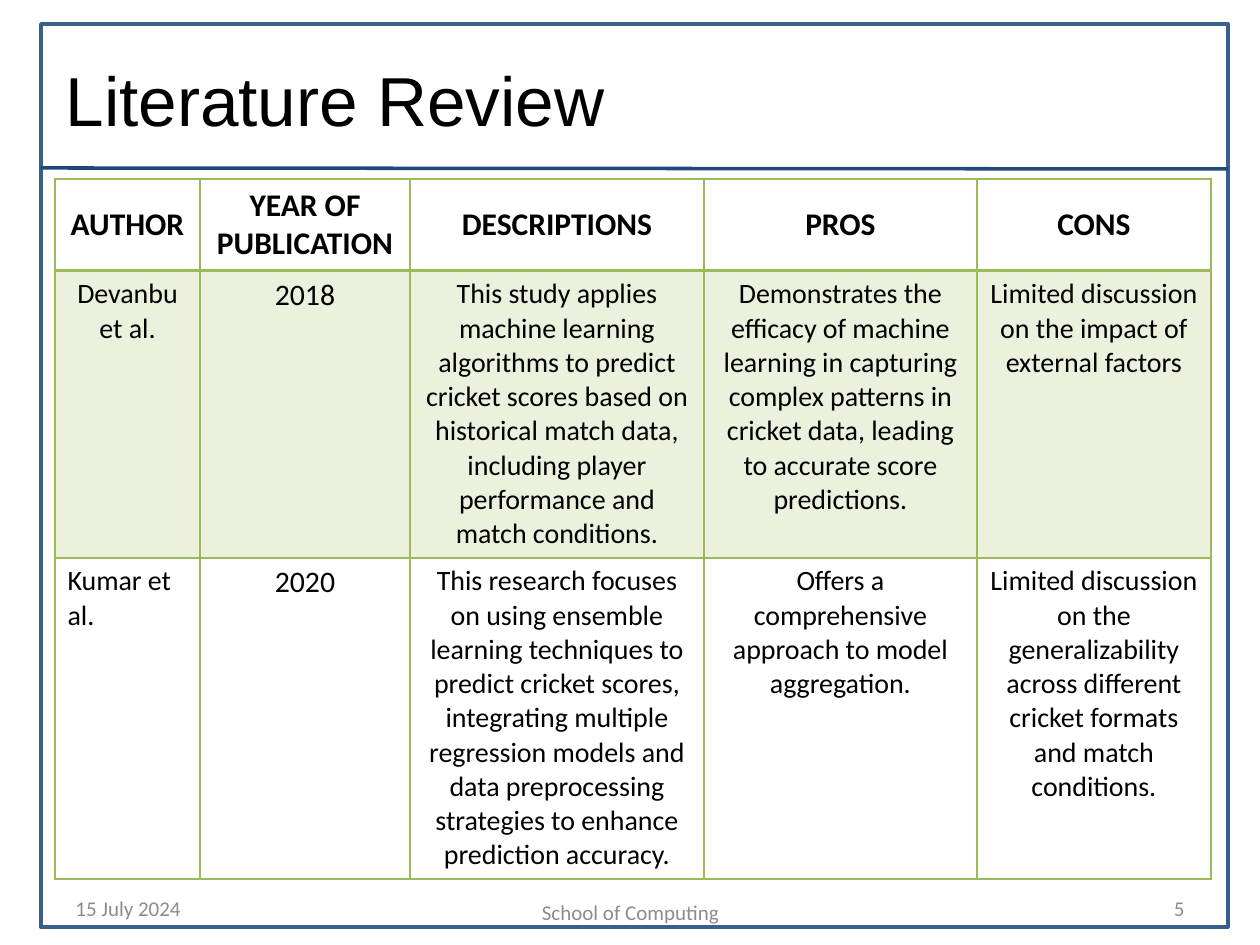
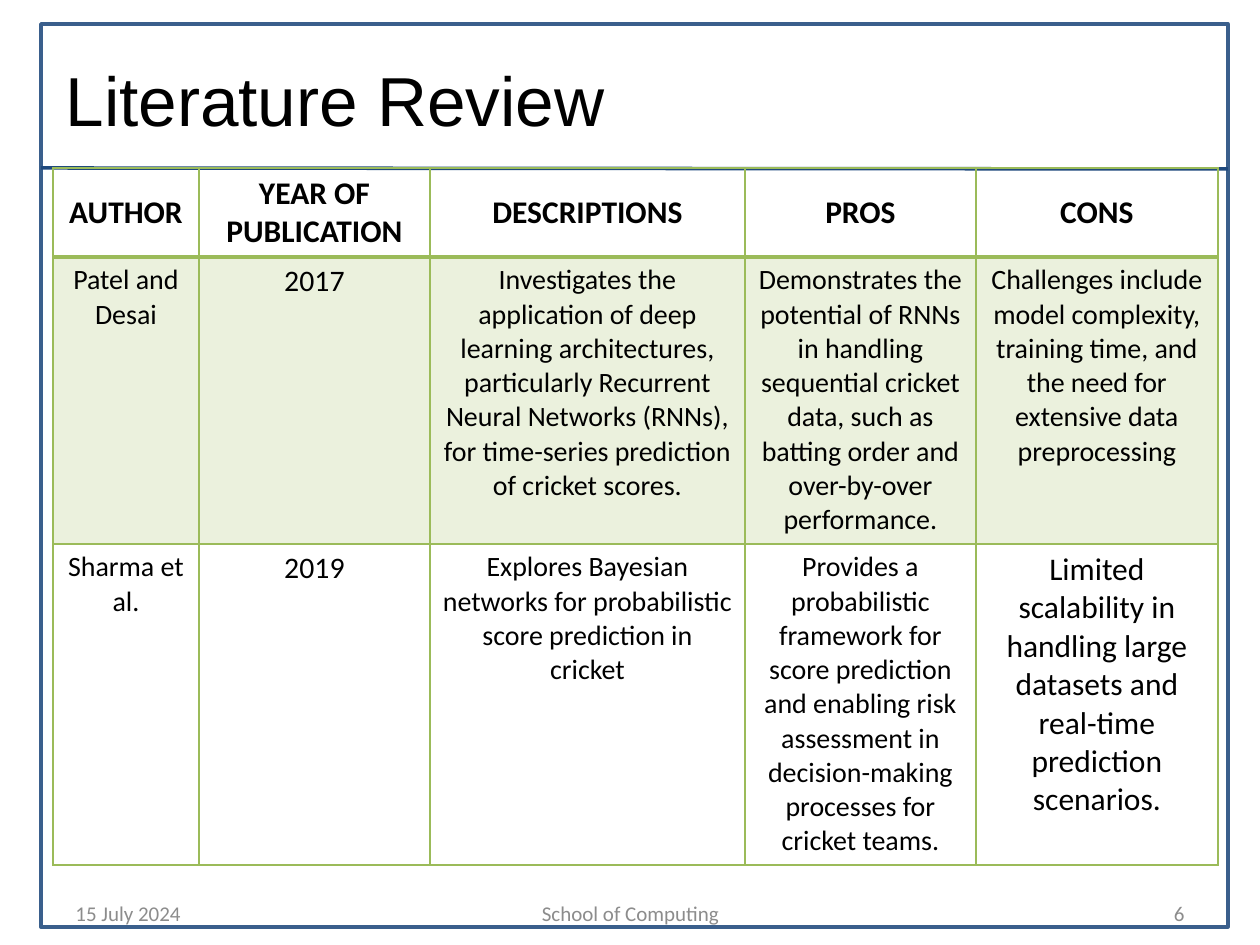
from dataclasses import dataclass

from lxml import etree
from pptx import Presentation, util as u
from pptx.dml.color import RGBColor
from pptx.enum import shapes, text
from pptx.oxml import ns

EMU_PER_PX = 914400 / 126


@dataclass(frozen=True)
class Theme:
    frame: str = "3A5F8C"
    rule: str = "1F497D"
    grid: str = "9BBB59"
    ink: str = "000000"
    muted: str = "8C8C8C"
    band_alpha: int = 20
    title_font: str = "Arial"
    body_font: str = "Calibri"
    title_size: float = 39.6
    header_size: int = 18
    year_size: int = 17
    body_size: int = 16
    footer_size: int = 12


THEME = Theme()
LEFT, CENTER, RIGHT = text.PP_ALIGN.LEFT, text.PP_ALIGN.CENTER, text.PP_ALIGN.RIGHT
HEADINGS = ["AUTHOR", "YEAR OF PUBLICATION", "DESCRIPTIONS", "PROS", "CONS"]
YEAR_COLUMN = 1

REVIEWS = [
    {
        "number": 5,
        "table_at": (55, 179),
        "columns": (145, 210, 294, 273, 234),
        "rows": (92, 287, 321),
        "footer_tops": (883, 887, 883),
        "studies": [
            ["Devanbu et al.", "2018",
             "This study applies machine learning algorithms to predict cricket scores based on "
             "historical match data, including player performance and match conditions.",
             "Demonstrates the efficacy of machine learning in capturing complex patterns in "
             "cricket data, leading to accurate score predictions.",
             "Limited discussion on the impact of external factors"],
            ["Kumar et al.", "2020",
             "This research focuses on using ensemble learning techniques to predict cricket "
             "scores, integrating multiple regression models and data preprocessing strategies "
             "to enhance prediction accuracy.",
             "Offers a comprehensive approach to model aggregation.",
             "Limited discussion on the generalizability across different cricket formats and "
             "match conditions."],
        ],
        "alignments": {(2, 0): LEFT},
        "sizes": {},
    },
    {
        "number": 6,
        "table_at": (53, 168),
        "columns": (146, 231, 315, 231, 242),
        "rows": (89, 287, 321),
        "footer_tops": (888, 888, 888),
        "studies": [
            ["Patel and Desai", "2017",
             "Investigates the application of deep learning architectures, particularly "
             "Recurrent Neural Networks (RNNs), for time-series prediction of cricket scores.",
             "Demonstrates the potential of RNNs in handling sequential cricket data, such as "
             "batting order and over-by-over performance.",
             "Challenges include model complexity, training time, and the need for extensive "
             "data preprocessing"],
            ["Sharma et al.", "2019",
             "Explores Bayesian networks for probabilistic score prediction in cricket",
             "Provides a probabilistic framework for score prediction and enabling risk "
             "assessment in decision-making processes for cricket teams.",
             "Limited scalability in handling large datasets and real-time prediction "
             "scenarios."],
        ],
        "alignments": {},
        "sizes": {(2, 4): 18},
    },
]


def px(*lengths):
    return [u.Emu(round(length * EMU_PER_PX)) for length in lengths]


def write(frame, words, size, align=CENTER, font=THEME.body_font, color=THEME.ink, bold=False):
    frame.text = words
    frame.word_wrap = True
    paragraph = frame.paragraphs[0]
    paragraph.alignment = align
    style = paragraph.runs[0].font
    style.name, style.size, style.bold = font, u.Pt(size), bold
    style.color.rgb = RGBColor.from_string(color)


def set_line(line, color, width):
    line.color.rgb = RGBColor.from_string(color)
    line.width = u.Pt(width)


def add_frame(slide, box):
    """Page outline with the rule below the title."""
    left, top, width, height = box
    outline = slide.shapes.add_shape(shapes.MSO_SHAPE.RECTANGLE, *px(*box))
    outline.shadow.inherit = False
    outline.fill.background()
    set_line(outline.line, THEME.frame, 2)
    rule = slide.shapes.add_connector(
        shapes.MSO_CONNECTOR.STRAIGHT, *px(left, top + 144, left + width, top + 145))
    set_line(rule.line, THEME.rule, 2)
    etree.SubElement(rule._element.spPr, ns.qn("a:effectLst"))


def set_title(slide, box, words):
    title = slide.shapes.title
    title.left, title.top, title.width, title.height = px(*box)
    write(title.text_frame, words, THEME.title_size, LEFT, THEME.title_font)
    title.text_frame.auto_size = text.MSO_AUTO_SIZE.NONE
    title.text_frame.vertical_anchor = text.MSO_ANCHOR.MIDDLE


def add_footers(slide, tops, number):
    """Date, school and slide number along the bottom."""
    entries = [("15 July 2024", 63, 294, LEFT),
               ("School of Computing", 431, 399, CENTER),
               (str(number), 903, 294, RIGHT)]
    for (words, left, width, align), top in zip(entries, tops):
        footer = slide.shapes.add_textbox(*px(left, top, width, 50)).text_frame
        write(footer, words, THEME.footer_size, align, color=THEME.muted)
        footer.vertical_anchor = text.MSO_ANCHOR.MIDDLE


def add_borders(cell, widths):
    properties = cell._tc.get_or_add_tcPr()
    for side, width in widths.items():
        border = etree.SubElement(properties, ns.qn(f"a:ln{side}"), w=str(u.Pt(width)))
        fill = etree.SubElement(border, ns.qn("a:solidFill"))
        etree.SubElement(fill, ns.qn("a:srgbClr"), val=THEME.grid)


def tint(cell):
    cell.fill.solid()
    cell.fill.fore_color.rgb = RGBColor.from_string(THEME.grid)
    color = cell._tc.tcPr.find(".//" + ns.qn("a:srgbClr") + f"[@val='{THEME.grid}']/..")
    color = cell._tc.tcPr.find(ns.qn("a:solidFill")).find(ns.qn("a:srgbClr"))
    etree.SubElement(color, ns.qn("a:alpha"), val=str(THEME.band_alpha * 1000))


def add_review_table(slide, review):
    """Header row, tinted first study, clear second study."""
    columns, rows = review["columns"], review["rows"]
    box = px(*review["table_at"], sum(columns), sum(rows))
    table = slide.shapes.add_table(len(rows), len(columns), *box).table
    for column, width in zip(table.columns, px(*columns)):
        column.width = width
    for row, height in zip(table.rows, px(*rows)):
        row.height = height

    for r, entries in enumerate([HEADINGS] + review["studies"]):
        header = r == 0
        for c, words in enumerate(entries):
            cell = table.cell(r, c)
            size = THEME.year_size if c == YEAR_COLUMN else THEME.body_size
            size = THEME.header_size if header else review["sizes"].get((r, c), size)
            write(cell.text_frame, words, size,
                  review["alignments"].get((r, c), CENTER), bold=header)
            cell.vertical_anchor = text.MSO_ANCHOR.MIDDLE if header else text.MSO_ANCHOR.TOP
            add_borders(cell, {"L": 1, "R": 1, "T": 2 if r == 1 else 1, "B": 2 if header else 1})
            if r == 1:
                tint(cell)
            else:
                cell.fill.background()


def add_review_slide(deck, review):
    slide = deck.slides.add_slide(deck.slide_layouts.get_by_name("Title Only"))
    add_frame(slide, (41, 24, 1187, 903))
    set_title(slide, (53, 53, 1134, 91), "Literature Review")
    add_footers(slide, review["footer_tops"], review["number"])
    add_review_table(slide, review)


def main():
    deck = Presentation()
    deck.slide_width, deck.slide_height = px(1260, 945)
    for review in REVIEWS:
        add_review_slide(deck, review)
    deck.save("out.pptx")


if __name__ == "__main__":
    main()
